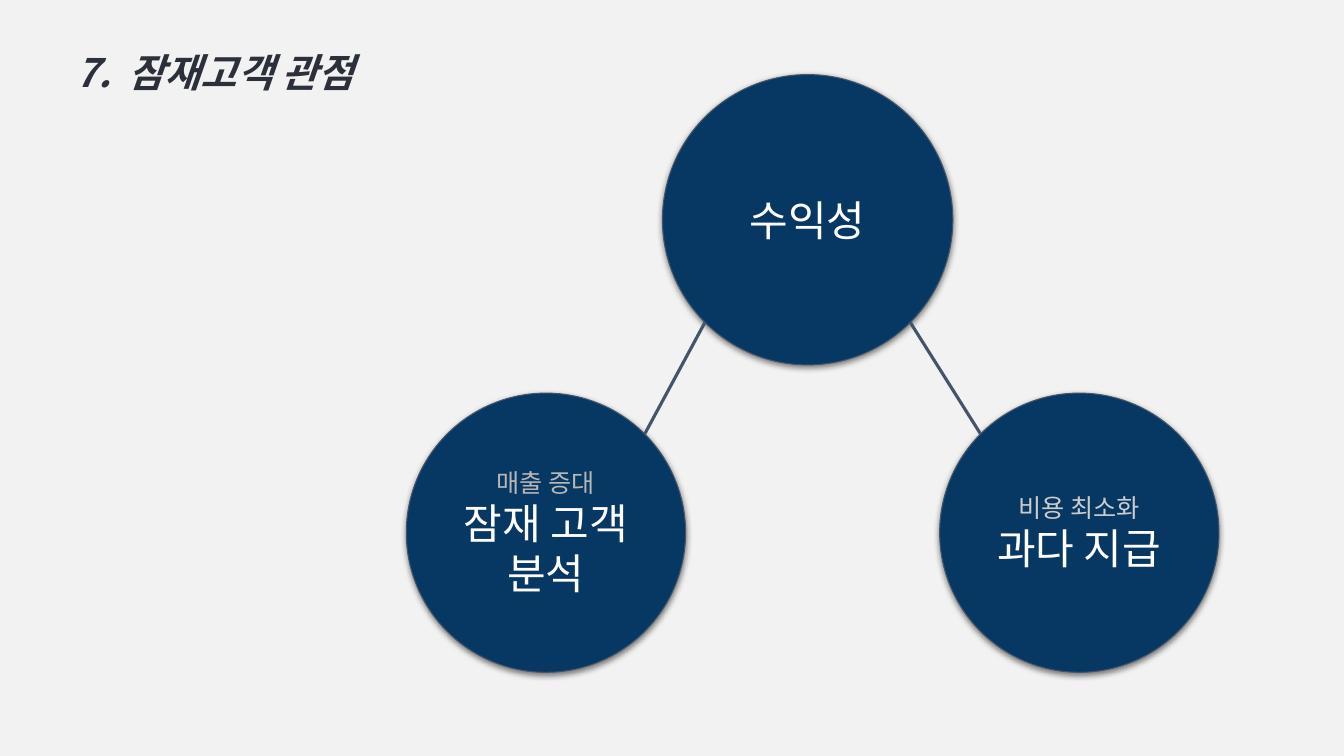
import math
import pptx
import pptx.util
import pptx.dml.color
import pptx.enum.shapes
import pptx.enum.text
import pptx.oxml
import pptx.oxml.ns
from lxml import etree

Inches = pptx.util.Inches
Pt = pptx.util.Pt
RGB = pptx.dml.color.RGBColor.from_string
FONT = "Noto Sans CJK KR"
COLORS = {"back": "F2F2F2", "navy": "073763", "line": "44546A", "white": "FFFFFF",
          "sales": "B7B7B7", "cost": "CCCCCC", "title": "2C303A"}
SHADOW = ('<a:effectLst xmlns:a="http://schemas.openxmlformats.org/drawingml/2006/main">'
          '<a:outerShdw blurRad="57150" dist="19050" dir="5400000" algn="bl" rotWithShape="0">'
          '<a:srgbClr val="000000"><a:alpha val="50000"/></a:srgbClr>'
          '</a:outerShdw></a:effectLst>')


def add_run(para, text, size, color):
    run = para.add_run()
    run.text = text
    run.font.size = Pt(size)
    run.font.name = FONT
    run.font.color.rgb = RGB(COLORS[color])
    east = etree.SubElement(run.font._element, pptx.oxml.ns.qn("a:ea"))
    east.set("typeface", FONT)
    return run


# Slide and background
deck = pptx.Presentation()
deck.slide_width = Inches(13.33)
deck.slide_height = Inches(7.5)
slide = deck.slides.add_slide(deck.slide_layouts[6])
slide.background.fill.solid()
slide.background.fill.fore_color.rgb = RGB(COLORS["back"])

# Circles: left, top, diameter, lines of text
circles = [
    (6.57, 0.74, 2.88, [("수익성", 30, "white")]),
    (4.03, 3.9, 2.77, [("매출 증대", 18, "sales"), ("잠재 고객 분석", 30, "white")]),
    (9.32, 3.9, 2.77, [("비용 최소화", 18, "cost"), ("과다 지급", 30, "white")]),
]
for left, top, size, lines in circles:
    disc = slide.shapes.add_shape(pptx.enum.shapes.MSO_SHAPE.OVAL, Inches(left),
                                  Inches(top), Inches(size), Inches(size))
    disc.fill.solid()
    disc.fill.fore_color.rgb = RGB(COLORS["navy"])
    disc.line.color.rgb = RGB(COLORS["line"])
    disc.line.width = Pt(0.75)
    disc._element.spPr.append(pptx.oxml.parse_xml(SHADOW))
    frame = disc.text_frame
    frame.word_wrap = True
    frame.vertical_anchor = pptx.enum.text.MSO_ANCHOR.MIDDLE
    frame.margin_left = frame.margin_right = Inches(0.1)
    frame.margin_top = frame.margin_bottom = Inches(0.1)
    for i, (text, points, color) in enumerate(lines):
        para = frame.add_paragraph() if i else frame.paragraphs[0]
        para.alignment = pptx.enum.text.PP_ALIGN.CENTER
        add_run(para, text, points, color)

# Links between the diagonal points of the circles
diag = math.sqrt(0.5)
left, top, size, _ = circles[0]
for side, (low_x, low_y, low, _) in zip((-1, 1), circles[1:]):
    half, small = size / 2, low / 2
    link = slide.shapes.add_connector(
        pptx.enum.shapes.MSO_CONNECTOR.STRAIGHT,
        Inches(left + half + side * half * diag), Inches(top + half + half * diag),
        Inches(low_x + small - side * small * diag), Inches(low_y + small - small * diag))
    link.line.color.rgb = RGB(COLORS["line"])
    link.line.width = Pt(2.25)
    etree.SubElement(link._element.spPr, pptx.oxml.ns.qn("a:effectLst"))

# Title, with a wider gap after the number
box = slide.shapes.add_textbox(Inches(0.65), Inches(0.2), Inches(6.67), Inches(1.06))
box.text_frame.word_wrap = True
para = box.text_frame.paragraphs[0]
para.line_spacing = 1.5
for text, gap in (("7.", 0), (" ", 630), ("잠재고객 관점", 0)):
    run = add_run(para, text, 28, "title")
    run.font.bold = run.font.italic = True
    if gap:
        run.font._element.set("spc", str(gap))

deck.save("out.pptx")
